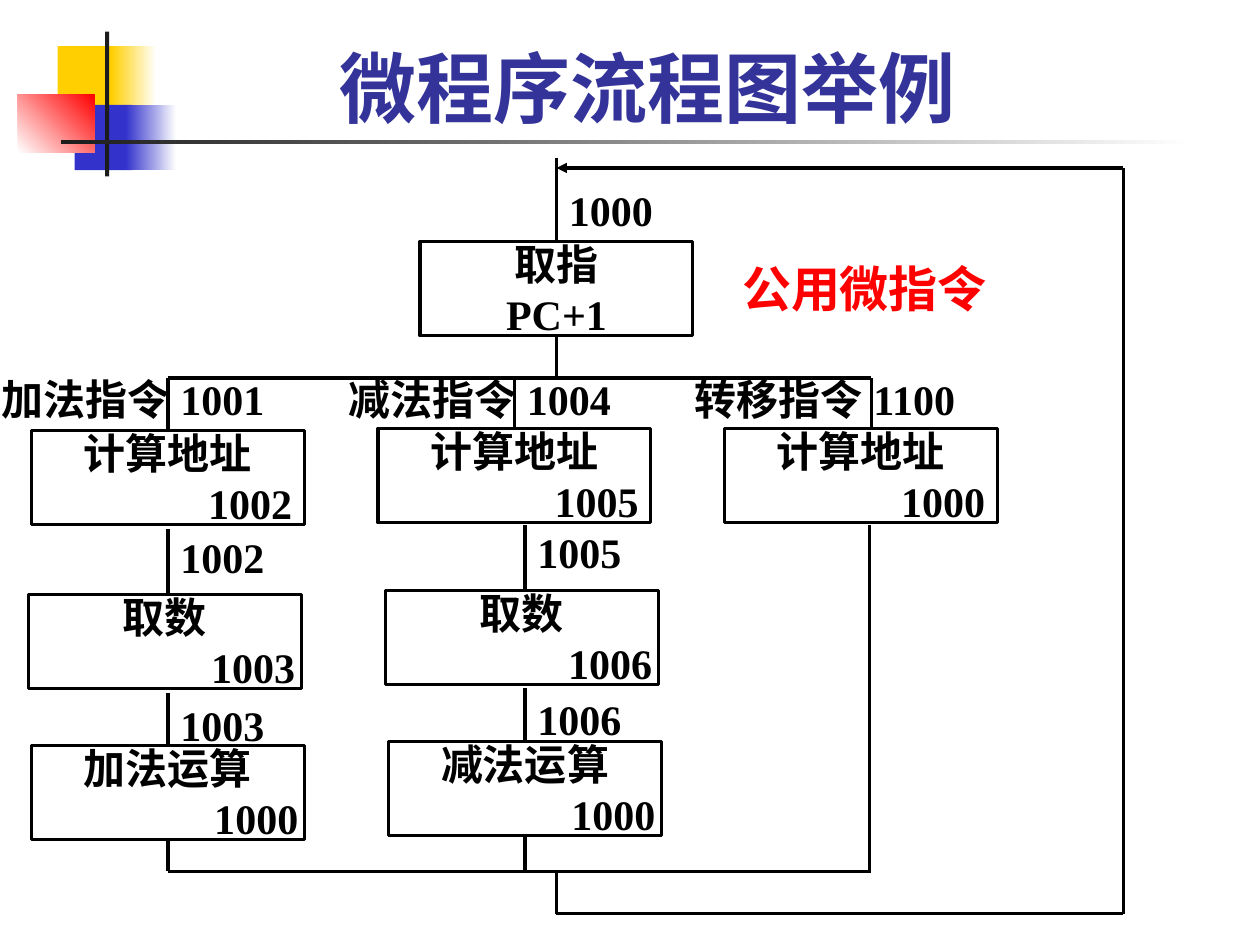
from dataclasses import dataclass
from typing import Optional

from lxml.etree import SubElement
from pptx import Presentation
from pptx.dml.color import RGBColor
from pptx.enum.shapes import MSO_CONNECTOR as Conn, MSO_SHAPE as Shp
from pptx.enum.text import MSO_ANCHOR as Anchor, PP_ALIGN as Align
from pptx.oxml.ns import qn
from pptx.util import Inches, Pt

BLACK = RGBColor(0x00, 0x00, 0x00)
WHITE = RGBColor(0xFF, 0xFF, 0xFF)
RED = RGBColor(0xFF, 0x00, 0x00)
YELLOW = RGBColor(0xFF, 0xCF, 0x01)
BLUE = RGBColor(0x33, 0x33, 0xCC)
INK = RGBColor(0x1C, 0x1C, 0x1C)
NAVY = RGBColor(0x33, 0x33, 0x99)
SANS, SERIF = "Roboto", "Times New Roman"
COLS, ROWS = 120, 90
BOX_W, BOX_H = 26, 9
LABEL_W, LABEL_H = 19, 6
TOP, BOTTOM = 0, 2


@dataclass
class Block:
    x: float
    y: float
    w: float
    h: float
    start: RGBColor
    end: Optional[RGBColor] = None
    angle: float = 0


@dataclass
class Step:
    key: str
    x: float
    y: float
    name: str
    value: str
    align: Align = Align.RIGHT
    inset: float = 0.05


@dataclass
class Label:
    x: float
    y: float
    text: str
    font: str = SERIF
    w: float = LABEL_W
    h: float = LABEL_H
    size: float = 24
    color: RGBColor = BLACK
    align: Align = Align.LEFT
    anchor: Anchor = Anchor.TOP


@dataclass
class Line:
    x1: float
    y1: float
    x2: float
    y2: float
    begin: Optional[str] = None
    end: Optional[str] = None
    arrow: bool = False


BLOCKS = [
    Block(5.5, 4.4, 5.8, 6.2, YELLOW),
    Block(10.6, 4.4, 4.3, 6.2, YELLOW, WHITE),
    Block(7.1, 10, 5.5, 6.2, BLUE),
    Block(12, 10, 4.8, 6.2, BLUE, WHITE),
    Block(1.7, 9, 7.3, 5.5, WHITE, RED, 45),
    Block(10, 3, 0.4, 13.8, INK),
    Block(5.8, 13.3, 108, 0.4, INK, WHITE),
]
STEPS = [
    Step("fetch", 40, 23, "取指", "PC+1", Align.CENTER, 0.1),
    Step("add_addr", 3, 41, "计算地址", "1002", inset=0.1),
    Step("add_load", 2.7, 56.6, "取数", "1003"),
    Step("add_op", 3, 71, "加法运算", "1000"),
    Step("sub_addr", 36, 40.8, "计算地址", "1005", inset=0.1),
    Step("sub_load", 36.7, 56.2, "取数", "1006"),
    Step("sub_op", 37, 70.6, "减法运算", "1000"),
    Step("jump_addr", 69, 40.8, "计算地址", "1000", inset=0.1),
]
LABELS = [
    Label(6, 2, "微程序流程图举例", SANS, 111.4, 11.2, 44, NAVY, Align.CENTER, Anchor.BOTTOM),
    Label(53, 17, "1000"),
    Label(-1, 35, "加法指令", SANS),
    Label(16, 35, "1001"),
    Label(32, 35, "减法指令", SANS),
    Label(49, 35, "1004"),
    Label(65, 35, "转移指令", SANS),
    Label(82, 35, "1100"),
    Label(16, 50, "1002"),
    Label(16, 66, "1003"),
    Label(50, 49.6, "1005"),
    Label(50, 65.5, "1006"),
    Label(69.5, 24, "公用微指令", SANS, 26.4, 6.8, 28, RED),
]
LINES = [
    Line(53, 15, 53, 23, end="fetch"),
    Line(53, 32, 53, 36, begin="fetch"),
    Line(16, 36, 83, 36),
    Line(16, 36, 16, 41, end="add_addr"),
    Line(49, 36, 49, 40.8, end="sub_addr"),
    Line(83, 36, 83, 40.8),
    Line(16, 50.4, 16, 56.6),
    Line(50, 50, 50, 56.2),
    Line(16, 66, 16, 71, end="add_op"),
    Line(50, 65.5, 50, 70.6, end="sub_op"),
    Line(16, 80, 16, 83, begin="add_op"),
    Line(50, 79.6, 50, 83, begin="sub_op"),
    Line(16, 83, 83, 83),
    Line(82.8, 83, 82.8, 50),
    Line(53, 83, 53, 87),
    Line(53, 87, 107, 87),
    Line(107, 87, 107, 16),
    Line(107, 16, 53, 16, arrow=True),
]

prs = Presentation()
prs.slide_width, prs.slide_height = Inches(10), Inches(7.5)
slide = prs.slides.add_slide(prs.slide_layouts[6])


def grid(*units: float) -> list[int]:
    """Turn alternating column and row counts into lengths."""
    cell = prs.slide_width / COLS, prs.slide_height / ROWS
    return [round(u * cell[i % 2]) for i, u in enumerate(units)]


def write(p, text: str, align: Align, font: str, size: float, color: RGBColor) -> None:
    """Write one bold run into a paragraph."""
    p.alignment = align
    r = p.add_run()
    r.text = text
    for name, value in {"name": font, "size": Pt(size), "bold": True}.items():
        setattr(r.font, name, value)
    r.font.color.rgb = color


def draw_block(b: Block) -> None:
    """Draw one solid or fading block of the decoration."""
    s = slide.shapes.add_shape(Shp.RECTANGLE, *grid(b.x, b.y, b.w, b.h))
    s.shadow.inherit = False
    s.line.fill.background()
    if b.end is None:
        s.fill.solid()
        s.fill.fore_color.rgb = b.start
        return
    s.fill.gradient()
    s.fill.gradient_angle = b.angle
    for stop, color, position in zip(s.fill.gradient_stops, (b.start, b.end), (0, 1)):
        stop.color.rgb, stop.position = color, position


def draw_step(step: Step):
    """Draw a microinstruction box with its name and next address."""
    s = slide.shapes.add_shape(Shp.RECTANGLE, *grid(step.x, step.y, BOX_W, BOX_H))
    s.shadow.inherit = False
    s.fill.solid()
    s.fill.fore_color.rgb = WHITE
    s.line.color.rgb, s.line.width = BLACK, Pt(1.75)
    tf = s.text_frame
    side = Inches(step.inset)
    for name, value in {"word_wrap": True, "vertical_anchor": Anchor.MIDDLE,
                        "margin_left": side, "margin_right": side}.items():
        setattr(tf, name, value)
    write(tf.paragraphs[0], step.name, Align.CENTER, SERIF, 24, BLACK)
    write(tf.add_paragraph(), step.value, step.align, SERIF, 24, BLACK)
    return s


def draw_label(label: Label) -> None:
    """Draw a line of free text."""
    tf = slide.shapes.add_textbox(*grid(label.x, label.y, label.w, label.h)).text_frame
    tf.word_wrap, tf.vertical_anchor = True, label.anchor
    write(tf.paragraphs[0], label.text, label.align, label.font, label.size, label.color)


def draw_line(line: Line, boxes: dict) -> None:
    """Draw a flow line and join it to its boxes."""
    s = slide.shapes.add_connector(Conn.STRAIGHT, *grid(line.x1, line.y1, line.x2, line.y2))
    s.line.color.rgb, s.line.width = BLACK, Pt(1.75)
    if line.begin:
        s.begin_connect(boxes[line.begin], BOTTOM)
    if line.end:
        s.end_connect(boxes[line.end], TOP)
    if line.arrow:
        SubElement(s.line._get_or_add_ln(), qn("a:tailEnd"), type="triangle")
    SubElement(s._element.spPr, qn("a:effectLst"))


for block in BLOCKS:
    draw_block(block)
steps = {step.key: draw_step(step) for step in STEPS}
for flow in LINES:
    draw_line(flow, steps)
for caption in LABELS:
    draw_label(caption)
prs.save("out.pptx")
